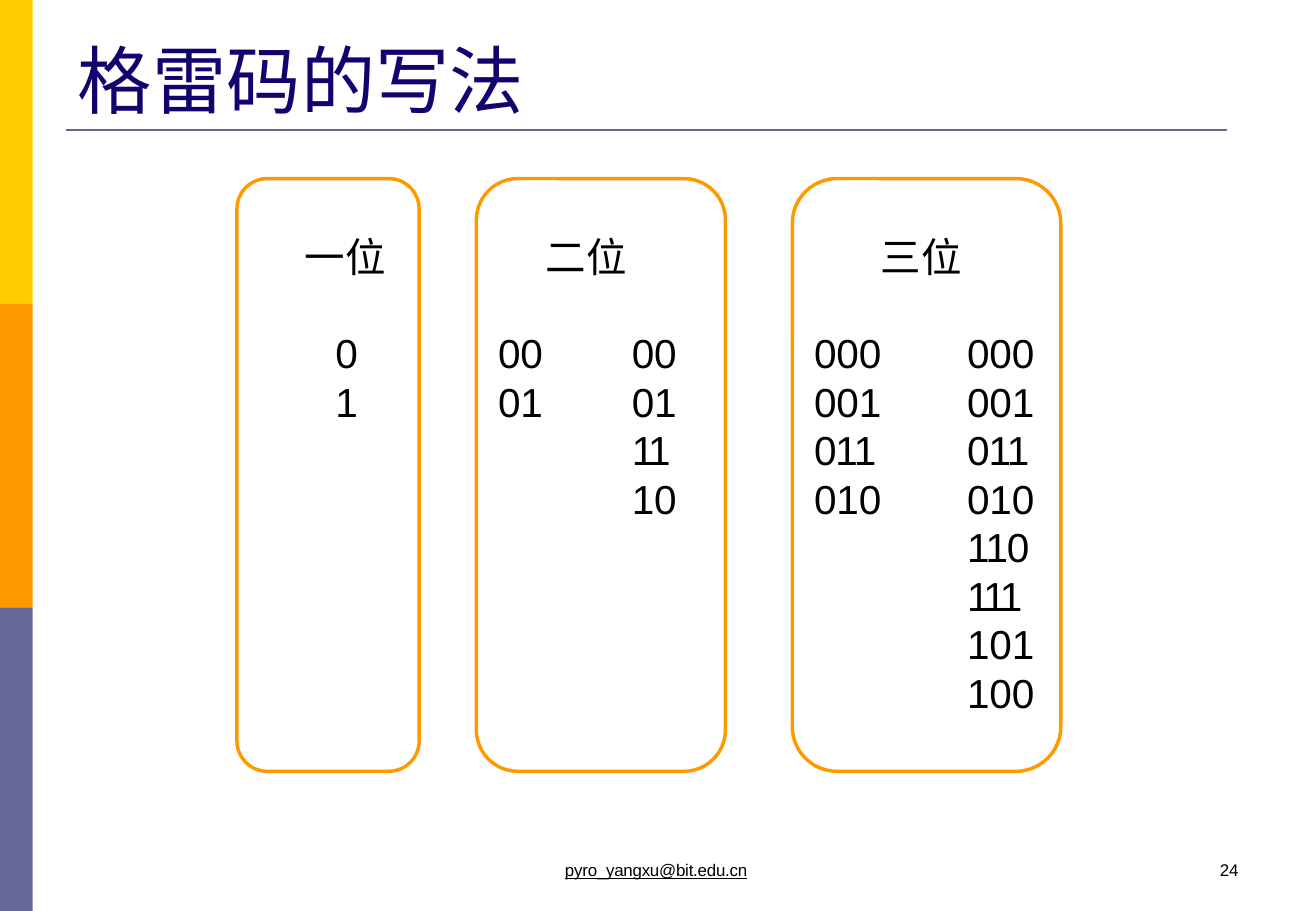
from dataclasses import dataclass

from pptx import Presentation
from pptx.dml.color import RGBColor
from pptx.enum.shapes import MSO_CONNECTOR as Connector, MSO_SHAPE as Shape
from pptx.enum.text import MSO_ANCHOR as Anchor, PP_ALIGN as Align
from pptx.oxml.ns import qn
from pptx.util import Inches, Pt
from lxml.etree import SubElement


@dataclass(frozen=True)
class Theme:
    latin: str = "Arial"
    chinese: str = "Noto Sans CJK SC"
    navy: str = "12046E"
    black: str = "000000"
    yellow: str = "FFCC00"
    orange: str = "FF9900"
    slate: str = "666699"
    title_size: float = 44
    body_size: float = 24
    footer_size: float = 10
    leading: float = 1.2
    tracking: float = -0.1


def gray_codes(bits):
    return [f"{i ^ i >> 1:0{bits}b}" for i in range(2 ** bits)]


def code_tracking(code, normal):
    """Adjacent ones are set closer together than other digits."""
    if "11" not in code:
        return normal
    return -0.7 if "0" in code else -1.9


def write_line(para, text, *, font, size, color, tracking=0, leading=None,
               underline=False, space_before=0):
    para.alignment = Align.LEFT
    para.space_before = Pt(space_before)
    if leading:
        para.line_spacing = Pt(size * leading)
    span = para.add_run()
    span.text = text
    span.font.name = font
    span.font.size = Pt(size)
    span.font.bold = False
    span.font.underline = underline
    span.font.color.rgb = RGBColor.from_string(color)
    properties = span.font._element
    properties.set("spc", str(round(tracking * 100)))
    east_asian = SubElement(properties, qn("a:ea"))
    east_asian.set("typeface", font)


class SlideBuilder:
    def __init__(self, page, theme):
        self.page = page
        self.theme = theme

    def frame(self, box, top_inset=0.02):
        frame = box.text_frame
        frame.word_wrap = True
        frame.vertical_anchor = Anchor.TOP
        frame.margin_left = Inches(0.01)
        frame.margin_right = frame.margin_bottom = 0
        frame.margin_top = Inches(top_inset)
        return frame

    def title(self, text, left, top, width, height):
        box = self.page.shapes.title
        box.left, box.top = Inches(left), Inches(top)
        box.width, box.height = Inches(width), Inches(height)
        theme = self.theme
        write_line(self.frame(box).paragraphs[0], text, font=theme.chinese,
                   size=theme.title_size, color=theme.navy, tracking=0.1,
                   leading=theme.leading)

    def text_box(self, left, top, width, height, top_inset=0.02):
        box = self.page.shapes.add_textbox(
            Inches(left), Inches(top), Inches(width), Inches(height))
        return self.frame(box, top_inset)

    def heading(self, text, left, top):
        theme = self.theme
        frame = self.text_box(left, top, 0.8, 0.43)
        write_line(frame.paragraphs[0], text, font=theme.chinese,
                   size=theme.body_size, color=theme.black,
                   leading=theme.leading)

    def code_column(self, codes, left, top):
        theme = self.theme
        frame = self.text_box(left, top, 0.7, 0.03 + 0.4 * len(codes))
        for index, code in enumerate(codes):
            para = frame.add_paragraph() if index else frame.paragraphs[0]
            write_line(para, code, font=theme.latin, size=theme.body_size,
                       color=theme.black, leading=theme.leading,
                       tracking=code_tracking(code, theme.tracking))

    def footer(self, text, left, width, underline=False):
        theme = self.theme
        frame = self.text_box(left, 7.08, width, 0.18, top_inset=0)
        write_line(frame.paragraphs[0], text, font=theme.latin,
                   size=theme.footer_size, color=theme.black,
                   tracking=theme.tracking, underline=underline)

    def shape(self, kind, left, top, width, height, fill=None, line=None):
        shape = self.page.shapes.add_shape(
            kind, Inches(left), Inches(top), Inches(width), Inches(height))
        shape.shadow.inherit = False
        if fill:
            shape.fill.solid()
            shape.fill.fore_color.rgb = RGBColor.from_string(fill)
        else:
            shape.fill.background()
        if line:
            shape.line.color.rgb = RGBColor.from_string(line)
            shape.line.width = Pt(2.04)
        else:
            shape.line.fill.background()

    def rule(self, left, right, y):
        rule = self.page.shapes.add_connector(
            Connector.STRAIGHT, Inches(left), Inches(y), Inches(right), Inches(y))
        rule.line.color.rgb = RGBColor.from_string(self.theme.slate)
        rule.line.width = Pt(1.56)
        SubElement(rule._element.spPr, qn("a:effectLst"))


def main():
    deck = Presentation()
    deck.slide_width, deck.slide_height = Inches(10.83), Inches(7.5)
    theme = Theme()
    builder = SlideBuilder(deck.slides.add_slide(deck.slide_layouts[5]), theme)

    for index, color in enumerate((theme.yellow, theme.orange, theme.slate)):
        builder.shape(Shape.RECTANGLE, 0, 2.5 * index, 0.27, 2.5, fill=color)
    builder.rule(0.54, 10.1, 1.07)
    builder.title("格雷码的写法", 0.63, 0.26, 9, 0.76)

    # heading, heading left, panel left, panel width, column lefts
    panels = [
        ("一位", 2.5, 1.95, 1.5, [2.75]),
        ("二位", 4.48, 3.92, 2.05, [4.09, 5.19]),
        ("三位", 7.24, 6.52, 2.21, [6.69, 7.95]),
    ]
    for bits, (heading, heading_left, left, width, columns) in enumerate(panels, 1):
        builder.shape(Shape.ROUNDED_RECTANGLE, left, 1.47, width, 4.88,
                      line=theme.orange)
        builder.heading(heading, heading_left, 1.89)
        codes = gray_codes(bits)
        *first_half, full = columns
        for column in first_half:
            builder.code_column(codes[:len(codes) // 2], column, 2.68)
        builder.code_column(codes, full, 2.68)

    builder.footer("pyro_yangxu@bit.edu.cn", 4.64, 1.7, underline=True)
    builder.footer("24", 10.03, 0.3)
    deck.save("out.pptx")


if __name__ == "__main__":
    main()
